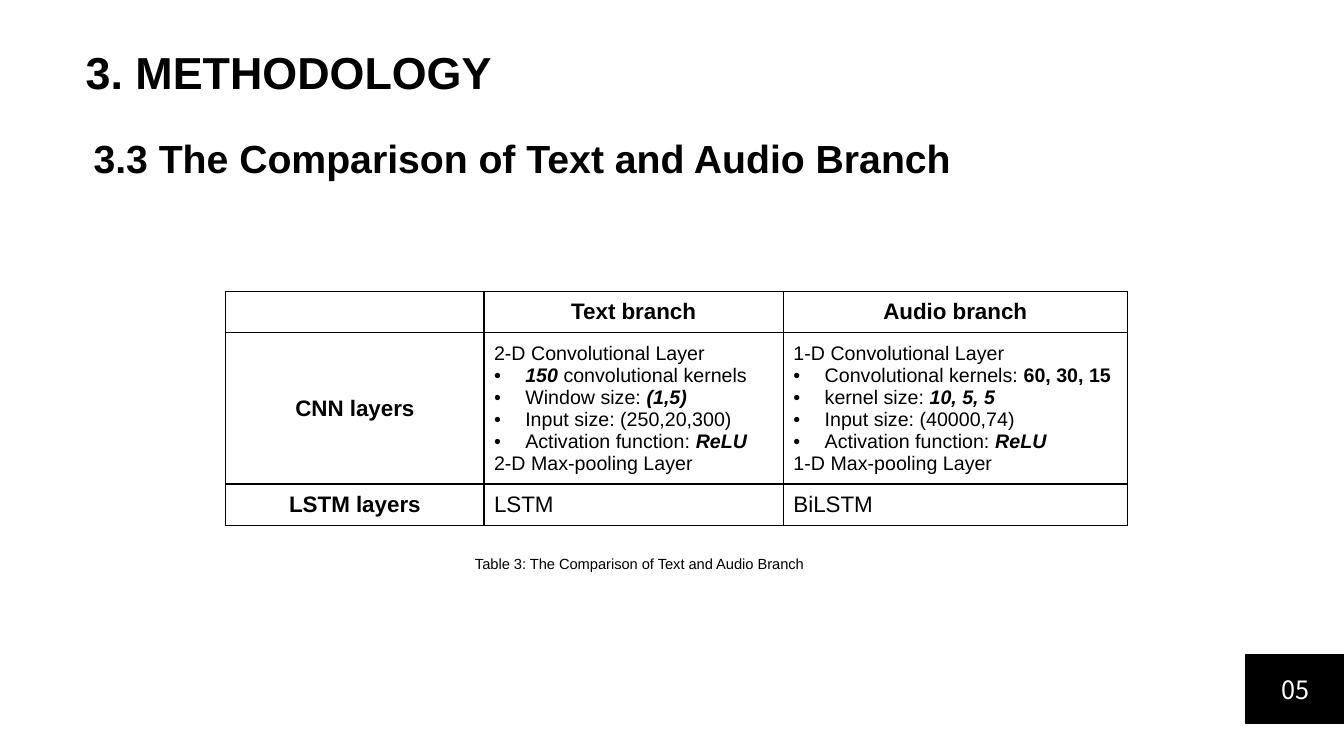
from dataclasses import dataclass
from typing import NamedTuple

from lxml.etree import SubElement
from pptx import Presentation
from pptx.dml.color import RGBColor as Rgb
from pptx.enum.shapes import MSO_SHAPE as Kind
from pptx.enum.text import MSO_ANCHOR as Anchor, MSO_AUTO_SIZE as Fit, PP_ALIGN as Align
from pptx.oxml.ns import qn
from pptx.util import Emu, Pt


@dataclass(frozen=True)
class Theme:
    ink: Rgb = Rgb(0, 0, 0)
    paper: Rgb = Rgb(255, 255, 255)
    font: str = "Arial"
    digit: str = "Noto Sans CJK SC"
    title: float = 32
    head: float = 28
    page: float = 18
    label: float = 16
    item: float = 14
    note: float = 10.5


class Run(NamedTuple):
    text: str
    bold: bool = False
    slant: bool = False


class Para(NamedTuple):
    runs: list[Run]
    dot: bool = False


class Box(NamedTuple):
    left: int
    top: int
    width: int
    height: int


class Cell(NamedTuple):
    paras: list[Para]
    size: float
    align: Align = Align.LEFT


THEME = Theme()
SCALE = 9144  # EMU in one px, 100 px to the inch
INDENT = 31


def px(count: int) -> Emu:
    return Emu(count * SCALE)


def area(box: Box) -> tuple[Emu, ...]:
    return tuple(px(side) for side in box)


# Text
def line(text: str, bold: bool = False) -> list[Para]:
    return [Para([Run(text, bold)])]


def bullet(*runs: Run) -> Para:
    return Para(list(runs), True)


def write(frame, paras: list[Para], *, size: float, align: Align = Align.LEFT,
          font: str = THEME.font, color: Rgb = THEME.ink,
          space: float | None = None) -> None:
    for index, para in enumerate(paras):
        row = frame.add_paragraph() if index else frame.paragraphs[0]
        row.alignment = align
        row.line_spacing = space
        if para.dot:
            props = row._p.get_or_add_pPr()
            props.set("marL", str(px(INDENT)))
            props.set("indent", str(px(-INDENT)))
            SubElement(props, qn("a:buFont"), typeface=THEME.font)
            SubElement(props, qn("a:buChar"), char="•")
        for part in para.runs:
            run = row.add_run()
            run.text = part.text
            face = run.font
            face.name, face.size = font, Pt(size)
            face.bold, face.italic = part.bold, part.slant
            face.color.rgb = color


def label(slide, box: Box, paras: list[Para], **look) -> None:
    frame = slide.shapes.add_textbox(*area(box)).text_frame
    frame.word_wrap = True
    write(frame, paras, **look)


# Table
def border(cell) -> None:
    props = cell._tc.get_or_add_tcPr()
    for side in ("lnL", "lnR", "lnT", "lnB"):
        edge = SubElement(props, qn(f"a:{side}"), w=str(Pt(1)))
        fill = SubElement(edge, qn("a:solidFill"))
        SubElement(fill, qn("a:srgbClr"), val=str(THEME.ink))


def grid(slide, left: int, top: int, cols: list[int], rows: list[int],
         cells: list[list[Cell]]) -> None:
    box = Box(left, top, sum(cols), sum(rows))
    table = slide.shapes.add_table(len(rows), len(cols), *area(box)).table
    table.first_row = table.horz_banding = False
    for col, width in zip(table.columns, cols):
        col.width = px(width)
    for row, height, items in zip(table.rows, rows, cells):
        row.height = px(height)
        for cell, item in zip(row.cells, items):
            border(cell)
            cell.fill.background()
            cell.vertical_anchor = Anchor.MIDDLE
            write(cell.text_frame, item.paras, size=item.size, align=item.align)


def head(text: str) -> Cell:
    return Cell(line(text, True), THEME.label, Align.CENTER)


def layers(dim: str, *items: Para) -> Cell:
    return Cell([*line(f"{dim} Convolutional Layer"), *items,
                 bullet(Run("Activation function: "), Run("ReLU", True, True)),
                 *line(f"{dim} Max-pooling Layer")], THEME.item)


TEXT = layers(
    "2-D",
    bullet(Run("150", True, True), Run(" convolutional kernels")),
    bullet(Run("Window size: "), Run("(1,5)", True, True)),
    bullet(Run("Input size: (250,20,300)")))
AUDIO = layers(
    "1-D",
    bullet(Run("Convolutional kernels: "), Run("60, 30, 15", True)),
    bullet(Run("kernel size: "), Run("10, 5, 5", True, True)),
    bullet(Run("Input size: (40000,74)")))
CELLS = [
    [Cell([], THEME.label), head("Text branch"), head("Audio branch")],
    [head("CNN layers"), TEXT, AUDIO],
    [head("LSTM layers"), Cell(line("LSTM"), THEME.label), Cell(line("BiLSTM"), THEME.label)],
]


# Page number
def badge(slide, box: Box, text: str) -> None:
    shape = slide.shapes.add_shape(Kind.RECTANGLE, *area(box))
    shape.shadow.inherit = False
    shape.fill.solid()
    shape.fill.fore_color.rgb = shape.line.color.rgb = THEME.ink
    shape.line.width = Pt(1)
    shape.text_frame.vertical_anchor = Anchor.MIDDLE
    write(shape.text_frame, line(text), size=THEME.page, align=Align.CENTER,
          font=THEME.digit, color=THEME.paper)


def main() -> None:
    deck = Presentation()
    deck.slide_width, deck.slide_height = px(1333), px(750)
    slide = deck.slides.add_slide(deck.slide_layouts[5])

    # Headings
    title = slide.shapes.title
    title.left, title.top, title.width, title.height = area(Box(75, 45, 1150, 145))
    title.text_frame.vertical_anchor = Anchor.TOP
    title.text_frame.auto_size = Fit.NONE
    write(title.text_frame, line("3. METHODOLOGY", True), size=THEME.title, space=0.9)
    label(slide, Box(83, 128, 1073, 104),
          line("3.3 The Comparison of Text and Audio Branch", True), size=THEME.head)

    # Comparison and caption
    grid(slide, 224, 289, [256, 297, 341], [41, 150, 41], CELLS)
    label(slide, Box(433, 546, 403, 28),
          line("Table 3: The Comparison of Text and Audio Branch"),
          size=THEME.note, align=Align.CENTER)

    badge(slide, Box(1236, 649, 98, 69), "05")
    deck.save("out.pptx")


if __name__ == "__main__":
    main()
